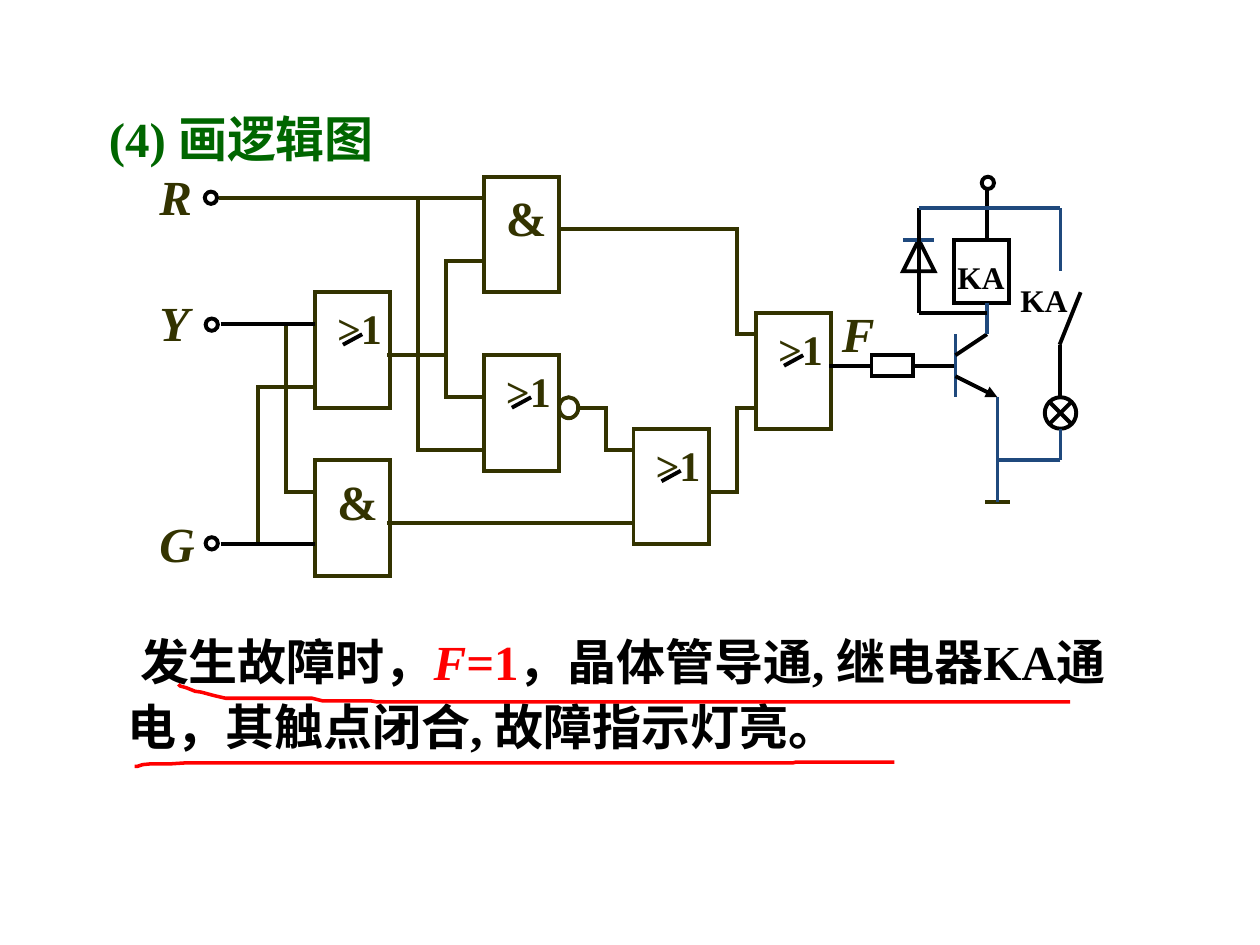
"""Builds a slide with a fault alarm logic circuit and the relay that it drives."""
from dataclasses import dataclass
from itertools import pairwise

from lxml import etree
from pptx import Presentation
from pptx.dml.color import RGBColor
from pptx.enum import shapes, text
from pptx.oxml import ns
from pptx.util import Pt


@dataclass(frozen=True)
class Theme:
    font: str = "Times New Roman"
    green: str = "006600"
    olive: str = "333300"
    black: str = "000000"
    blue: str = "1F497D"
    red: str = "FF0000"
    large: int = 28
    medium: int = 24
    small: int = 18
    wire: float = 2.25
    underline: float = 2


theme = Theme()
deck = Presentation()
deck.slide_width, deck.slide_height = Pt(720), Pt(540)
page = deck.slides.add_slide(deck.slide_layouts[5])
kind = shapes.MSO_SHAPE


def write(box, spans, size, indent=0):
    frame = box.text_frame
    frame.word_wrap = True
    frame.auto_size = text.MSO_AUTO_SIZE.NONE
    frame.vertical_anchor = text.MSO_ANCHOR.TOP
    frame.margin_left = frame.margin_right = Pt(7.2)
    frame.margin_top, frame.margin_bottom = Pt(3.6 + size * 0.1), Pt(3.6)
    para = frame.paragraphs[0]
    para.alignment = text.PP_ALIGN.LEFT
    if indent:
        para._p.get_or_add_pPr().set("indent", str(Pt(indent)))
    for words, color, italic in spans:
        span = para.add_run()
        span.text = words
        span.font.name = theme.font
        span.font.size = Pt(size)
        span.font.bold = True
        span.font.italic = italic
        span.font.color.rgb = RGBColor.from_string(color)
    return para


def outline(shape, color, width=theme.wire):
    shape.shadow.inherit = False
    shape.fill.background()
    shape.line.color.rgb = RGBColor.from_string(color)
    shape.line.width = Pt(width)
    etree.SubElement(shape.line._ln, ns.qn("a:miter"), lim="800000")


title = page.shapes.title
title.left, title.top, title.width, title.height = Pt(48), Pt(55.5), Pt(173.5), Pt(41)
write(title, [("(4) 画逻辑图", theme.green, False)], theme.large, indent=7)

gates = [
    ("&", 276.5, 101), (">1", 276.5, 203), (">1", 180, 167),
    ("&", 180, 263), (">1", 362, 245), (">1", 432, 179),
]
labels = [
    ("F", 474, 167, 48, theme.large, theme.olive, True),
    ("G", 84, 287, 48, theme.large, theme.olive, True),
    ("Y", 84, 161, 48, theme.large, theme.olive, True),
    ("R", 84, 89, 48, theme.large, theme.olive, True),
    ("KA", 540, 142, 48, theme.small, theme.black, False),
    ("KA", 576, 155, 48, theme.small, theme.black, False),
]
wires = [
    (theme.olive, [(126, 113), (276.5, 113)]),
    (theme.olive, [(239, 113), (239, 257), (276.5, 257)]),
    (theme.olive, [(222.5, 203), (255, 203)]),
    (theme.olive, [(276.5, 149), (255, 149), (255, 227), (276.5, 227)]),
    (theme.olive, [(163.5, 185), (163.5, 281), (180, 281)]),
    (theme.olive, [(147.5, 311), (147.5, 221), (180, 221)]),
    (theme.olive, [(222.5, 299), (362, 299)]),
    (theme.olive, [(330.5, 233), (346.5, 233), (346.5, 257), (362, 257)]),
    (theme.olive, [(405.5, 281), (421, 281), (421, 233), (432, 233)]),
    (theme.olive, [(319.5, 131), (421, 131), (421, 191), (432, 191)]),
    (theme.olive, [(564, 287), (576, 287)]),
    (theme.black, [(126, 185), (180, 185)]),
    (theme.black, [(126, 311), (180, 311)]),
    (theme.black, [(474, 209), (498, 209)]),
    (theme.black, [(522, 209), (546, 209)]),
    (theme.blue, [(546, 191), (546, 227)]),
    (theme.black, [(546, 203), (564, 191)]),
    (theme.black, [(546, 215), (570, 227)]),
    (theme.blue, [(570, 227), (570, 287)]),
    (theme.blue, [(564, 173), (564, 191)]),
    (theme.black, [(564, 107), (564, 137)]),
    (theme.blue, [(516, 137), (534, 137)]),
    (theme.black, [(525, 119), (525, 179), (564, 179)]),
    (theme.blue, [(525, 119), (606, 119), (606, 155)]),
    (theme.black, [(617.5, 167), (605.5, 197), (605.5, 227)]),
    (theme.blue, [(606, 245), (606, 263), (570, 263)]),
]
parts = [
    (kind.OVAL, 319.5, 227, 11, 12, theme.olive),
    (kind.RECTANGLE, 545, 137, 31.5, 36, theme.black),
    (kind.ISOSCELES_TRIANGLE, 516, 137, 18, 18, theme.black),
    (kind.FLOWCHART_SUMMING_JUNCTION, 597, 227, 18, 18, theme.black),
    (kind.RECTANGLE, 498, 203, 24, 12, theme.black),
]
for left, top in [(561, 101), (117, 109.5), (117.5, 182), (117.5, 307)]:
    parts.append((kind.OVAL, left, top, 7, 7, theme.black))
for symbol, left, top in gates:
    parts.append((kind.RECTANGLE, left, top, 43, 66, theme.olive))
    size = theme.large if symbol == "&" else theme.medium
    labels.append((symbol, left + 5.5, top, 48, size, theme.olive, False))
    if symbol == ">1":
        wires.append((theme.black, [(left + 27, top + 24), (left + 16, top + 30)]))

resistor = None
for form, left, top, width, height, color in parts:
    part = page.shapes.add_shape(form, Pt(left), Pt(top), Pt(width), Pt(height))
    outline(part, color)
    if (left, top) == (498, 203):
        resistor = part

for color, points in wires:
    for start, end in pairwise(points):
        wire = page.shapes.add_connector(
            shapes.MSO_CONNECTOR.STRAIGHT, *map(Pt, start + end))
        wire.line.color.rgb = RGBColor.from_string(color)
        wire.line.width = Pt(theme.wire)
        etree.SubElement(wire._element.spPr, ns.qn("a:effectLst"))
        if color == theme.olive:
            wire.line._ln.set("cap", "sq")
        if end == (498, 209):
            wire.end_connect(resistor, 1)
        if start == (522, 209):
            wire.begin_connect(resistor, 3)
        if start == (546, 215):
            etree.SubElement(wire.line._ln, ns.qn("a:tailEnd"), type="triangle")

for words, left, top, width, size, color, italic in labels:
    label = page.shapes.add_textbox(Pt(left), Pt(top), Pt(width), Pt(size * 1.25 + 6))
    write(label, [(words, color, italic)], size)

summary = page.shapes.add_textbox(Pt(66), Pt(354), Pt(576), Pt(81.5))
para = write(summary, [
    ("发生故障时，", theme.black, False),
    ("F", theme.red, True),
    ("=1", theme.red, False),
    ("，晶体管导通, 继电器KA通电，其触点闭合, 故障指示灯亮。", theme.black, False),
], theme.large, indent=7)
para.line_spacing = 1.1
summary.text_frame.margin_top = Pt(3.6)

underlines = [
    [(102, 391), (103, 392), (106.5, 393), (111.5, 395), (115, 395.5), (122.5, 397.5),
     (129, 399), (178.5, 399), (184.5, 400.5), (212, 400.5), (215, 401), (611.5, 401)],
    [(77, 438), (78.5, 438), (81.5, 437), (86.5, 436.5), (98, 436.5), (106, 436),
     (453, 436), (455, 435.5), (511, 435.5)],
]
for first, *rest in underlines:
    builder = page.shapes.build_freeform(*map(Pt, first))
    builder.add_line_segments([(Pt(x), Pt(y)) for x, y in rest], close=False)
    outline(builder.convert_to_shape(), theme.red, theme.underline)

deck.save("out.pptx")
